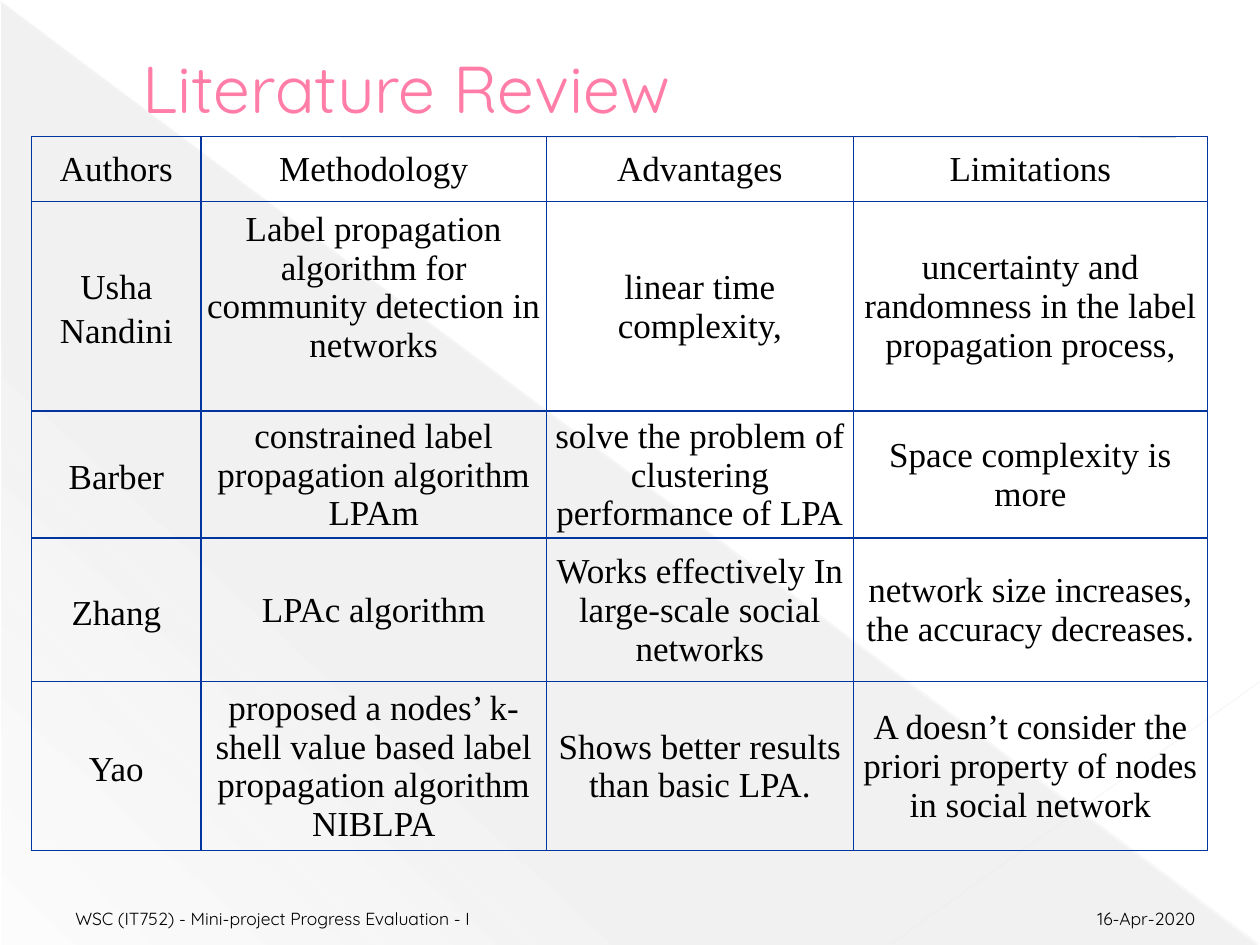
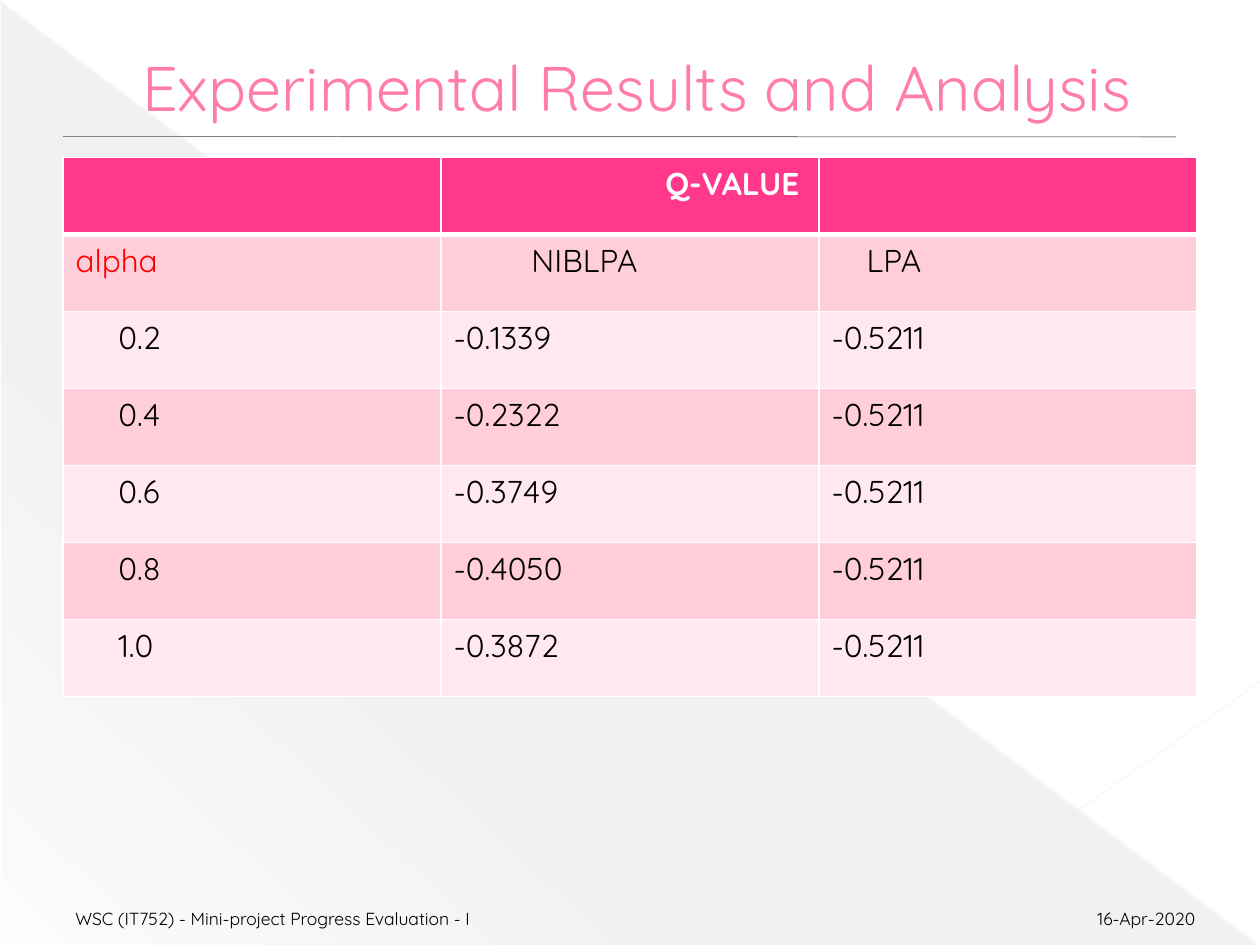
from dataclasses import dataclass

from lxml.etree import SubElement
from pptx import Presentation
from pptx.dml.color import RGBColor as Rgb
from pptx.enum.shapes import MSO_CONNECTOR as Conn, MSO_SHAPE as Shape
from pptx.enum.text import MSO_ANCHOR as Anchor, PP_ALIGN as Align
from pptx.oxml import parse_xml
from pptx.oxml.ns import nsdecls, qn
from pptx.util import Pt


@dataclass(frozen=True)
class Theme:
    sans: str = "Quicksand"
    serif: str = "Times New Roman"
    black: str = "000000"
    white: str = "FFFFFF"
    red: str = "FF0000"
    title: str = "FF7DA7"
    edge: str = "B12761"
    grid: str = "00349E"
    head: str = "FF388C"
    bands: tuple = ("FFE8EE", "FFCEDA")
    shade: str = "666666"
    rule: str = "808080"
    foot_size: float = 10
    cell_size: float = 20
    data_size: float = 18


T = Theme()
NOTE = "WSC (IT752) - Mini-project Progress Evaluation - I"
DATE = "16-Apr-2020"

REVIEW = [
    ["Authors", "Methodology", "Advantages", "Limitations"],
    ["Usha Nandini",
     "Label propagation algorithm for community detection in networks",
     "linear time complexity,",
     "uncertainty and randomness in the label propagation process,"],
    ["Barber", "constrained label propagation algorithm LPAm",
     "solve the problem of clustering performance of LPA",
     "Space complexity is more"],
    ["Zhang", "LPAc algorithm",
     "Works effectively In large-scale social networks",
     "network size increases, the accuracy decreases."],
    ["Yao",
     "proposed a nodes’ k-shell value based label propagation algorithm NIBLPA",
     "Shows better results than basic LPA.",
     "A doesn’t consider the priori property of nodes in social network"],
]

RESULTS = [
    ["", "Q-VALUE", ""],
    ["alpha", "NIBLPA", "LPA"],
    ["0.2", "-0.1339", "-0.5211"],
    ["0.4", "-0.2322", "-0.5211"],
    ["0.6", "-0.3749", "-0.5211"],
    ["0.8", "-0.4050", "-0.5211"],
    ["1.0", "-0.3872", "-0.5211"],
]


# Text and line helpers
def style(para, size, color, face=T.sans, bold=False, align=Align.LEFT):
    para.alignment = align
    for run in para.runs:
        font = run.font
        font.size, font.name, font.bold = Pt(size), face, bold
        font.color.rgb = Rgb.from_string(color)


def indent(para, gap):
    props = para._p.get_or_add_pPr()
    props.set("marL", str(Pt(gap)))
    props.set("indent", "0")


def outline(tag, color, width):
    return parse_xml(
        f'<a:{tag} {nsdecls("a")} w="{Pt(width)}"><a:solidFill>'
        f'<a:srgbClr val="{color}"/></a:solidFill></a:{tag}>')


def add_line(shapes, start, end, color, width, alpha=100):
    line = shapes.add_connector(Conn.STRAIGHT, *map(Pt, start + end))
    line.line.color.rgb = Rgb.from_string(color)
    line.line.width = Pt(width)
    props = line.element.spPr
    SubElement(props, qn("a:effectLst"))
    tone = next(props.iter(qn("a:srgbClr")))
    SubElement(tone, qn("a:alpha"), val=str(alpha * 1000))
    return line


# Shared backdrop, moved from a slide to its layout
def add_backdrop(slide, box):
    left, top, wide, high = box
    right, base = left + wide, top + high
    shapes = slide.shapes
    wedge = shapes.add_shape(Shape.RIGHT_TRIANGLE, Pt(left + 0.7), Pt(top + 1.4),
                             Pt(wide - 1.4), Pt(high - 1.4))
    wedge.shadow.inherit = False
    wedge.line.fill.background()
    stops = "".join(
        f'<a:gs pos="{pos * 1000}"><a:srgbClr val="{T.shade}">'
        f'<a:alpha val="{alpha * 1000}"/></a:srgbClr></a:gs>'
        for pos, alpha in ((0, 10), (70, 8), (100, 1)))
    fade = parse_xml(f'<a:gradFill {nsdecls("a")} rotWithShape="1"><a:gsLst>{stops}'
                     f'</a:gsLst><a:lin ang="{133 * 60000}" scaled="1"/></a:gradFill>')
    wedge.element.spPr.find(qn("a:prstGeom")).addnext(fade)
    parts = [
        wedge,
        add_line(shapes, (left, top + 0.7), (right - 0.7, base - 0.7),
                 "E8E8E8", 0.39, 35),
        add_line(shapes, (right, top + 389.5), (left + 509, base - 0.7),
                 "EAEAEA", 0.47, 45),
        add_line(shapes, (left + 36, top + 78), (left + 672, top + 78.2),
                 T.rule, 0.5),
    ]
    for part in parts:
        slide.slide_layout.shapes.element.append(part.element)


# Title and footers
def add_title(slide, text, size, box):
    title = slide.shapes.title
    title.left, title.top, title.width, title.height = map(Pt, box)
    frame = title.text_frame
    frame.text = text
    frame.vertical_anchor = Anchor.MIDDLE
    para = frame.paragraphs[0]
    style(para, size, T.title)
    indent(para, 38)
    para.runs[0].font._element.insert(0, outline("ln", T.edge, 0.5))


def add_footer(slide, box):
    left, top, wide, high = box
    for text, start, span, align in (
            (NOTE, left, 336, Align.LEFT),
            (DATE, left + wide - 168, 168, Align.RIGHT)):
        note = slide.shapes.add_textbox(*map(Pt, (start, top, span, high)))
        frame = note.text_frame
        frame.word_wrap = True
        frame.vertical_anchor = Anchor.BOTTOM
        frame.text = text
        style(frame.paragraphs[0], T.foot_size, T.black, align=align)


# Tables
def add_grid(slide, data, spot, cols, rows):
    box = (*spot, sum(cols), sum(rows))
    table = slide.shapes.add_table(len(rows), len(cols), *map(Pt, box)).table
    table.first_row = table.horz_banding = False
    for col, wide in zip(table.columns, cols):
        col.width = Pt(wide)
    for row, high in zip(table.rows, rows):
        row.height = Pt(high)
    for r, line in enumerate(data):
        for c, text in enumerate(line):
            table.cell(r, c).text_frame.text = text
    return table


def add_edges(cell, color, top=1, base=1):
    props = cell._tc.get_or_add_tcPr()
    for i, (side, width) in enumerate(zip("LRTB", (1, 1, top, base))):
        props.insert(i, outline("ln" + side, color, width))


def add_review(slide, spot):
    table = add_grid(slide, REVIEW, spot, (97, 197.2, 175.6, 202.2),
                     (37, 120, 72.4, 82.2, 96.4))
    for r, row in enumerate(table.rows):
        for c, cell in enumerate(row.cells):
            cell.fill.background()
            cell.vertical_anchor = Anchor.MIDDLE
            cell.margin_left = cell.margin_right = cell.margin_top = Pt(0.7)
            cell.margin_bottom = Pt(22 if (r, c) == (1, 1) else 0)
            para = cell.text_frame.paragraphs[0]
            style(para, T.cell_size, T.black, T.serif, align=Align.CENTER)
            if r and c == 0:
                para.line_spacing = 1.15
            add_edges(cell, T.grid)


def add_results(slide, spot):
    table = add_grid(slide, RESULTS, spot, [216] * 3, [44] * 7)
    gaps = {(0, 1): 121, (1, 1): 44.5, (1, 2): 20}
    for r, row in enumerate(table.rows):
        for c, cell in enumerate(row.cells):
            head = r == 0
            cell.fill.solid()
            cell.fill.fore_color.rgb = Rgb.from_string(T.head if head else T.bands[r % 2])
            color = T.white if head else T.red if (r, c) == (1, 0) else T.black
            para = cell.text_frame.paragraphs[0]
            style(para, T.data_size, color, bold=head)
            indent(para, 24.5 if r > 1 and c == 0 else gaps.get((r, c), 0))
            add_edges(cell, T.white, top=3 if r == 1 else 1, base=3 if head else 1)


def main():
    deck = Presentation()
    deck.slide_width, deck.slide_height = Pt(720), Pt(540)
    pages = (("Literature Review", 37.8, add_review, (18, 78)),
             ("Experimental Results and Analysis", 36, add_results, (36, 90)))
    for i, (text, size, fill, spot) in enumerate(pages):
        slide = deck.slides.add_slide(deck.slide_layouts[5])
        if i == 0:
            add_backdrop(slide, (0, 0, 720, 540))
        add_title(slide, text, size, (36, 21, 648, 57))
        fill(slide, spot)
        add_footer(slide, (36, 510.5, 654, 24))
    deck.save("out.pptx")


if __name__ == "__main__":
    main()
